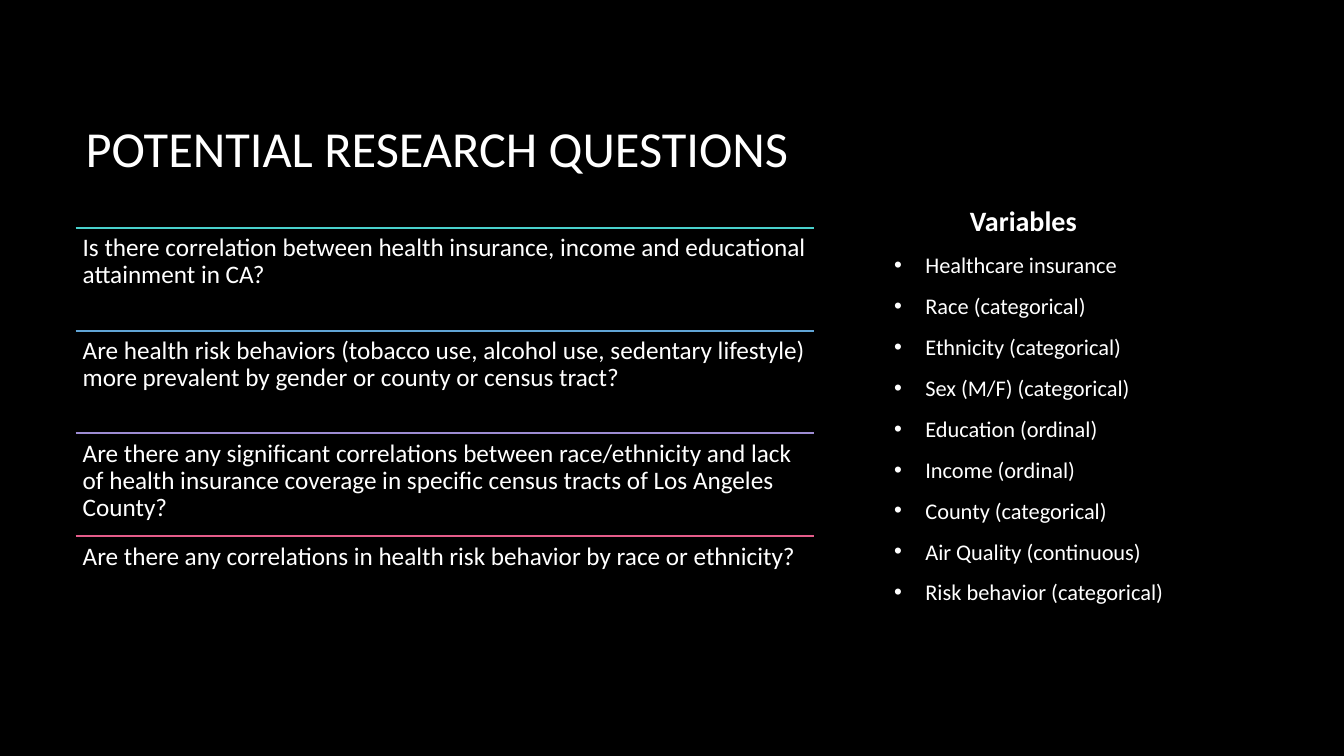
from lxml.etree import SubElement
from pptx import Presentation
from pptx.dml.color import RGBColor
from pptx.enum.shapes import MSO_CONNECTOR
from pptx.enum.text import MSO_ANCHOR, MSO_AUTO_SIZE, PP_ALIGN
from pptx.oxml.ns import qn
from pptx.util import Pt

# Content
TITLE = "POTENTIAL RESEARCH QUESTIONS"
QUESTIONS = [
    ("teal", "Is there correlation between health insurance, income and "
             "educational attainment in CA?"),
    ("blue", "Are health risk behaviors (tobacco use, alcohol use, sedentary "
             "lifestyle) more prevalent by gender or county or census tract?"),
    ("violet", "Are there any significant correlations between race/ethnicity and lack "
               "of health insurance coverage in specific census tracts of Los Angeles County?"),
    ("pink", "Are there any correlations in health risk behavior by race or ethnicity?"),
]
VARIABLES_HEADING = "Variables"
VARIABLES = [
    "Healthcare insurance", "Race (categorical)", "Ethnicity (categorical)",
    "Sex (M/F) (categorical)", "Education (ordinal)", "Income (ordinal)",
    "County (categorical)", "Air Quality (continuous)", "Risk behavior (categorical)",
]

# Look and layout, lengths in px at 100 px to the inch
COLORS = {"black": "000000", "white": "FFFFFF", "teal": "49D1CD",
          "blue": "61A5D6", "violet": "9D8CD3", "pink": "E45C8A"}
PX = 9144
SLIDE_SIZE = (1333, 750)
TITLE_BOX = (75, 67, 1108, 159)
VARIABLES_BOX = (827, 202, 376, 399)
LIST_LEFT, LIST_TOP, LIST_WIDTH, ROW_HEIGHT = 75, 226, 732, 102
ROW_INSET = 7
BULLET_MARGIN, BULLET_HANG = 81, 31


def px(*lengths):
    return [length * PX for length in lengths]


def color(name):
    return RGBColor.from_string(COLORS[name])


def set_frame(frame, **values):
    settings = {"word_wrap": True, "auto_size": MSO_AUTO_SIZE.NONE, **values}
    for name, value in settings.items():
        setattr(frame, name, value)


def write(paragraph, text, size, bold=False, **values):
    run = paragraph.add_run()
    run.text = text
    for name, value in {"name": "Calibri", "size": Pt(size), "bold": bold}.items():
        setattr(run.font, name, value)
    run.font.color.rgb = color("white")
    for name, value in values.items():
        setattr(paragraph, name, value)


def add_bullet(paragraph):
    props = paragraph._p.get_or_add_pPr()
    margin, hang = px(BULLET_MARGIN, BULLET_HANG)
    props.set("marL", str(margin))
    props.set("indent", str(-hang))
    bullet_color = SubElement(props, qn("a:buClr"))
    SubElement(bullet_color, qn("a:srgbClr"), val=COLORS["white"])
    SubElement(props, qn("a:buFont"), typeface="Arial")
    SubElement(props, qn("a:buChar"), char="•")


def add_rule(slide, top, color_name):
    rule = slide.shapes.add_connector(
        MSO_CONNECTOR.STRAIGHT, *px(LIST_LEFT, top, LIST_LEFT + LIST_WIDTH, top))
    rule.line.color.rgb = color(color_name)
    rule.line.width = Pt(1.5)
    SubElement(rule._element.spPr, qn("a:effectLst"))


def main():
    deck = Presentation()
    deck.slide_width, deck.slide_height = px(*SLIDE_SIZE)
    slide = deck.slides.add_slide(deck.slide_layouts[5])
    slide.background.fill.solid()
    slide.background.fill.fore_color.rgb = color("black")

    # Title
    title = slide.shapes.title
    title.left, title.top, title.width, title.height = px(*TITLE_BOX)
    set_frame(title.text_frame, vertical_anchor=MSO_ANCHOR.MIDDLE)
    write(title.text_frame.paragraphs[0], TITLE, 36, alignment=PP_ALIGN.LEFT)

    # Questions, each under its coloured rule
    inset = ROW_INSET * PX
    for row, (color_name, question) in enumerate(QUESTIONS):
        top = LIST_TOP + row * ROW_HEIGHT
        add_rule(slide, top, color_name)
        frame = slide.shapes.add_textbox(
            *px(LIST_LEFT, top, LIST_WIDTH, ROW_HEIGHT)).text_frame
        set_frame(frame, margin_left=inset, margin_top=inset,
                  margin_right=inset, margin_bottom=inset)
        write(frame.paragraphs[0], question, 18, line_spacing=0.9)

    # Variables
    frame = slide.shapes.add_textbox(*px(*VARIABLES_BOX)).text_frame
    set_frame(frame, vertical_anchor=MSO_ANCHOR.MIDDLE)
    write(frame.paragraphs[0], VARIABLES_HEADING, 20, bold=True,
          alignment=PP_ALIGN.CENTER, space_after=Pt(10))
    for variable in VARIABLES:
        paragraph = frame.add_paragraph()
        write(paragraph, variable, 16, level=1, space_after=Pt(10))
        add_bullet(paragraph)

    deck.save("out.pptx")


if __name__ == "__main__":
    main()
